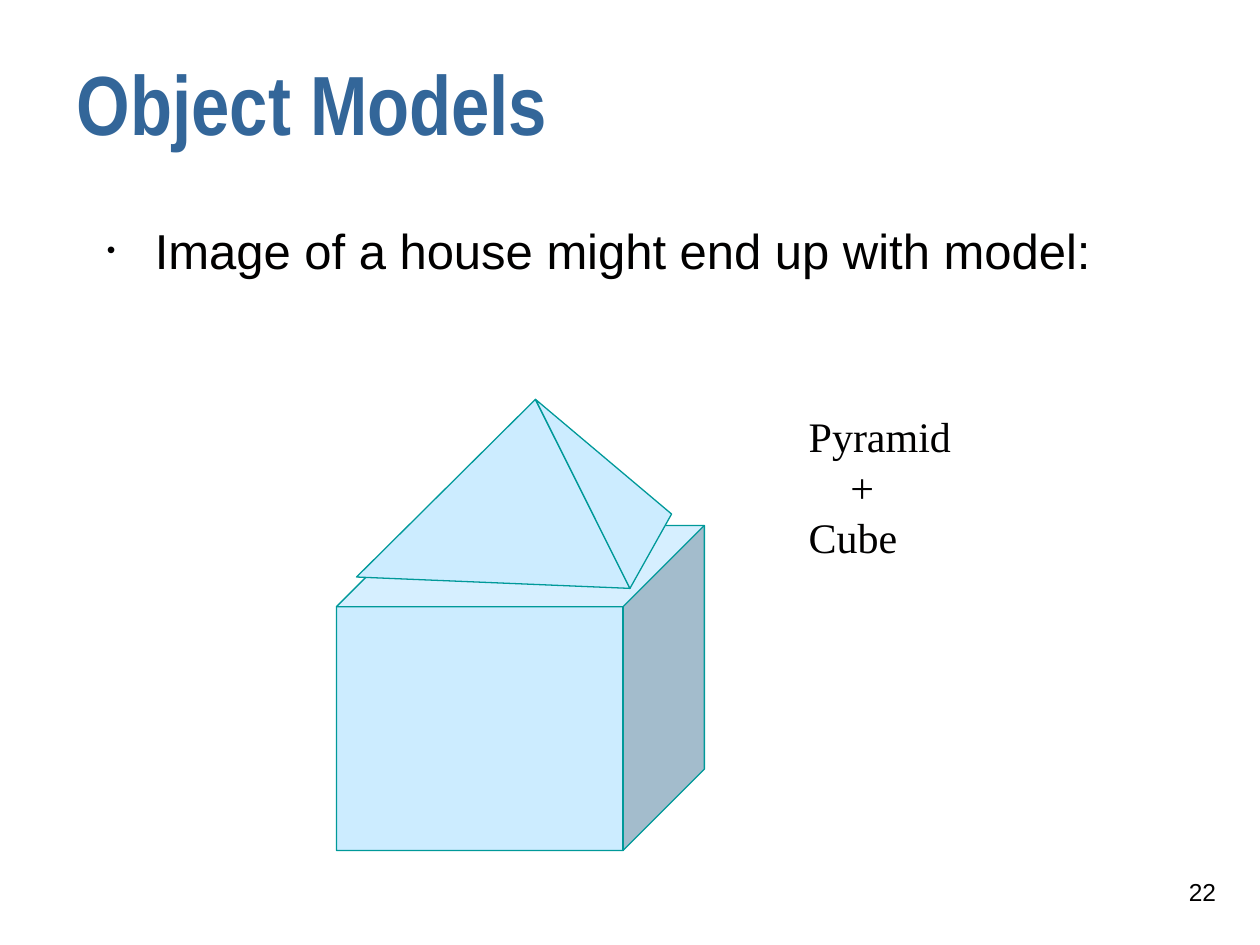
from lxml.etree import SubElement
from pptx import Presentation
from pptx.dml.color import RGBColor
from pptx.enum.shapes import MSO_SHAPE
from pptx.enum.text import MSO_ANCHOR, MSO_AUTO_SIZE, PP_ALIGN
from pptx.oxml.ns import qn
from pptx.util import Inches, Pt

COLORS = {"title": "336699", "text": "010000", "face": "CCECFF", "edge": "009999"}
TITLE = "Object Models"
BULLET = "Image of a house might end up with model:"
PARTS = ["Pyramid", "+", "Cube"]
PAGE_NUMBER = "22"

CUBE = (2.67, 4.17, 2.92, 2.58)
APEX, LEFT, FRONT, RIGHT = (4.25, 3.17), (2.83, 4.58), (5, 4.67), (5.33, 4.08)
PYRAMID_FACES = [(LEFT, FRONT, APEX), (FRONT, APEX, RIGHT)]


def color(name):
    return RGBColor.from_string(COLORS[name])


def place(shape, left, top, width, height):
    shape.left, shape.top = Inches(left), Inches(top)
    shape.width, shape.height = Inches(width), Inches(height)


def write(shape, lines, font, size, tint="text", bold=False,
          align=PP_ALIGN.LEFT, anchor=MSO_ANCHOR.TOP, wrap=True):
    frame = shape.text_frame
    frame.text = "\n".join(lines)
    frame.word_wrap = wrap
    frame.auto_size = MSO_AUTO_SIZE.NONE
    frame.vertical_anchor = anchor
    for para in frame.paragraphs:
        para.alignment = align
        for span in para.runs:
            span.font.name, span.font.size, span.font.bold = font, Pt(size), bold
            span.font.color.rgb = color(tint)
    return frame.paragraphs


def indent(para, margin, first=0):
    properties = para._p.get_or_add_pPr()
    properties.set("marL", str(Inches(margin)))
    properties.set("indent", str(Inches(first)))
    return properties


def add_bullet(para):
    properties = indent(para, 0.38, -0.38)
    tint = SubElement(properties, qn("a:buClr"))
    SubElement(tint, qn("a:srgbClr"), val=COLORS["text"])
    SubElement(properties, qn("a:buSzPct"), val="50000")
    SubElement(properties, qn("a:buFont"), typeface="Arial")
    SubElement(properties, qn("a:buChar"), char="•")


def paint(shape):
    shape.shadow.inherit = False
    shape.fill.solid()
    shape.fill.fore_color.rgb = color("face")
    shape.line.color.rgb = color("edge")
    shape.line.width = Pt(0.75)


def add_text(page, area):
    return page.shapes.add_textbox(*map(Inches, area))


def main():
    deck = Presentation()
    deck.slide_width, deck.slide_height = Inches(10), Inches(7.5)
    page = deck.slides.add_slide(deck.slide_layouts[5])

    title = page.shapes.title
    place(title, 0.51, 0.28, 8.25, 1.25)
    heading = write(title, [TITLE], "Arial Narrow", 48, "title", True,
                    anchor=MSO_ANCHOR.MIDDLE)
    heading[0].line_spacing = 0.7

    body = add_text(page, (0.75, 1.7, 8.58, 4.5))
    add_bullet(write(body, [BULLET], "Arial", 28)[0])

    cube = page.shapes.add_shape(MSO_SHAPE.CUBE, *map(Inches, CUBE))
    cube.adjustments[0] = 0.25
    paint(cube)

    for start, *others in PYRAMID_FACES:
        builder = page.shapes.build_freeform(*map(Inches, start))
        builder.add_line_segments([tuple(map(Inches, point)) for point in others])
        paint(builder.convert_to_shape())

    label = add_text(page, (6.32, 3.21, 1.33, 1.3))
    lines = write(label, PARTS, "Times New Roman", 24, wrap=False)
    indent(lines[1], 0.33)

    number = add_text(page, (7.67, 6.83, 2.08, 0.5))
    write(number, [PAGE_NUMBER], "Arial", 14, align=PP_ALIGN.RIGHT,
          anchor=MSO_ANCHOR.MIDDLE)

    deck.save("out.pptx")


if __name__ == "__main__":
    main()
